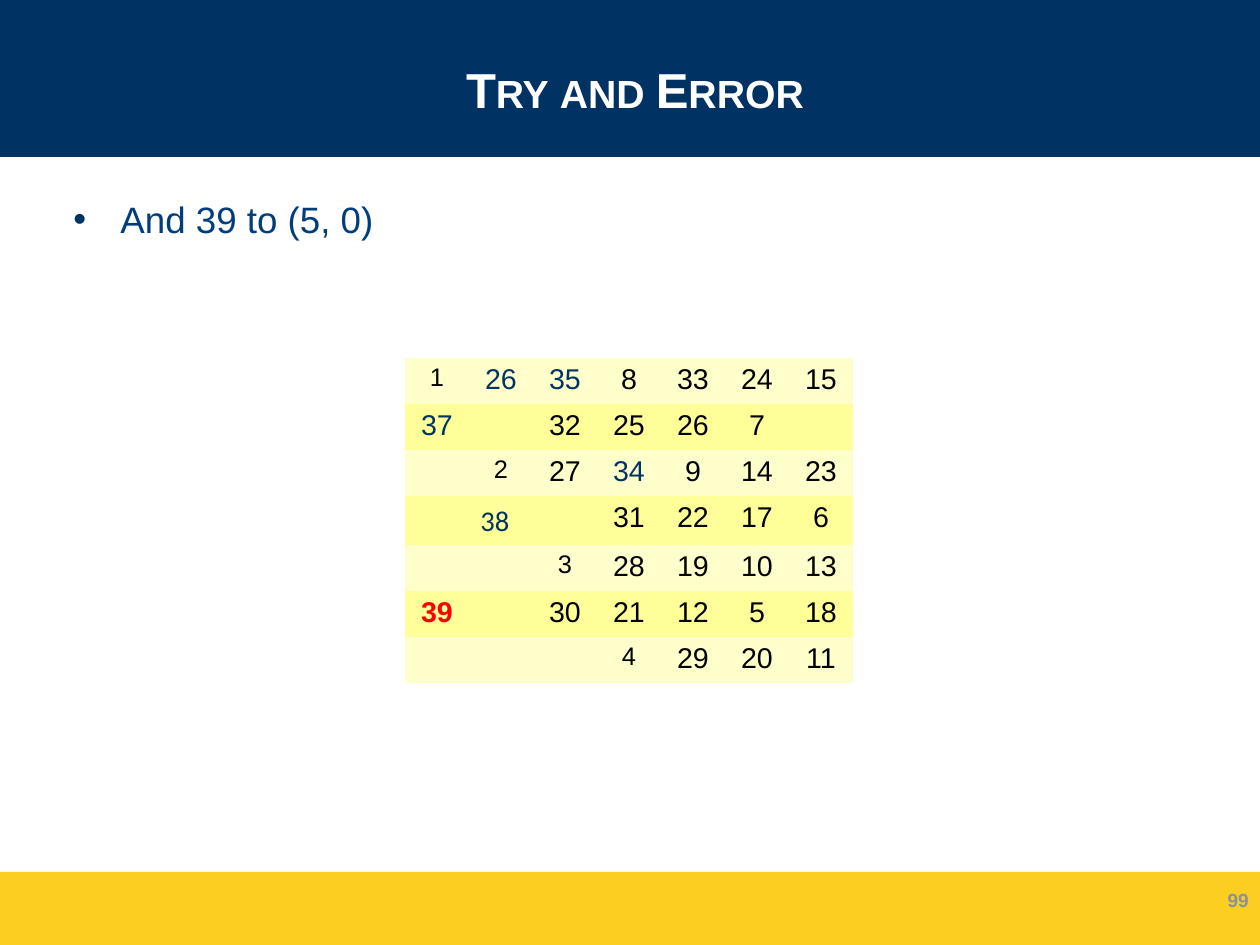
from dataclasses import dataclass

from lxml import etree
from pptx import Presentation
from pptx import util as u
from pptx.dml.color import RGBColor
from pptx.enum import shapes, text
from pptx.oxml import ns

PX = 8000
NAVY = RGBColor(0x00, 0x32, 0x64)
GOLD = RGBColor(0xFB, 0xCE, 0x20)
WHITE = RGBColor(0xFF, 0xFF, 0xFF)
BODY_BLUE = RGBColor(0x00, 0x3D, 0x7C)
PAGE_GREY = RGBColor(0x8C, 0x90, 0xA0)
BLACK = RGBColor(0x00, 0x00, 0x00)
MOVE_BLUE = RGBColor(0x00, 0x33, 0x66)
RED = RGBColor(0xFF, 0x00, 0x00)
ROW_FILLS = (RGBColor(0xFF, 0xFF, 0xCC), RGBColor(0xFF, 0xFF, 0x99))
NO_TABLE_STYLE = "{2D5ABB26-0587-4C30-8999-92F81FD0307C}"


@dataclass(frozen=True)
class Box:
    left: int
    top: int
    width: int
    height: int

    def emu(self) -> tuple[int, ...]:
        return tuple(n * PX for n in (self.left, self.top, self.width, self.height))


@dataclass(frozen=True)
class Band:
    box: Box
    color: RGBColor


@dataclass(frozen=True)
class TextStyle:
    size: float
    color: RGBColor
    bold: bool = False
    name: str = "Arial"
    align: text.PP_ALIGN = text.PP_ALIGN.CENTER
    line_spacing: float | None = 0.93


BANDS = (
    Band(Box(0, 0, 1260, 157), NAVY),
    Band(Box(0, 872, 1260, 73), GOLD),
)
BOARD = (
    ("1", "26", "35", "8", "33", "24", "15"),
    ("37", "", "32", "25", "26", "7", ""),
    ("", "2", "27", "34", "9", "14", "23"),
    ("", "38", "", "31", "22", "17", "6"),
    ("", "", "3", "28", "19", "10", "13"),
    ("39", "", "30", "21", "12", "5", "18"),
    ("", "", "", "4", "29", "20", "11"),
)
ROW_HEIGHTS = (44, 45, 46, 49, 45, 46, 46)
COLUMN_WIDTH = 64
NUMBER = TextStyle(18, BLACK)
START = TextStyle(16, BLACK)
MOVE = TextStyle(18, MOVE_BLUE)
SPECIAL_CELLS = {
    (0, 0): START,
    (2, 1): START,
    (4, 2): START,
    (6, 3): START,
    (0, 1): MOVE,
    (0, 2): MOVE,
    (1, 0): MOVE,
    (2, 3): MOVE,
    (3, 1): TextStyle(18, MOVE_BLUE, False, "Calibri", text.PP_ALIGN.LEFT, None),
    (5, 0): TextStyle(18, RED, True),
}


def place(shape, box: Box) -> None:
    shape.left, shape.top, shape.width, shape.height = box.emu()


def write(frame, words: str, style: TextStyle):
    paragraph = frame.paragraphs[0]
    paragraph.text = words
    paragraph.alignment = style.align
    if style.line_spacing:
        paragraph.line_spacing = style.line_spacing
    font = paragraph.font
    font.name, font.size, font.bold = style.name, u.Pt(style.size), style.bold
    font.color.rgb = style.color
    return paragraph


def add_band(slide, band: Band, depth: int) -> None:
    shape = slide.shapes.add_shape(shapes.MSO_SHAPE.RECTANGLE, *band.box.emu())
    shape.shadow.inherit = False
    shape.fill.solid()
    shape.fill.fore_color.rgb = band.color
    shape.line.fill.background()
    slide.shapes.element.insert(2 + depth, shape.element)


def add_title(slide) -> None:
    title = slide.shapes.title
    place(title, Box(62, 21, 1146, 136))
    frame = title.text_frame
    frame.auto_size = text.MSO_AUTO_SIZE.NONE
    frame.vertical_anchor = text.MSO_ANCHOR.MIDDLE
    style = TextStyle(30.9, WHITE, True, line_spacing=None)
    paragraph = write(frame, "Try and Error", style)
    paragraph.runs[0].font._element.set("cap", "small")


def add_body(slide) -> None:
    body = slide.placeholders[1]
    place(body, Box(62, 187, 1146, 689))
    frame = body.text_frame
    frame.auto_size = text.MSO_AUTO_SIZE.NONE
    frame.margin_top = 10 * PX
    paragraph = frame.paragraphs[0]
    paragraph.space_before = u.Pt(0)
    properties = paragraph._p.get_or_add_pPr()
    properties.set("marL", str(47 * PX))
    properties.set("indent", str(-47 * PX))
    bullet_color = etree.SubElement(properties, ns.qn("a:buClr"))
    etree.SubElement(bullet_color, ns.qn("a:srgbClr"), val=str(NAVY))
    etree.SubElement(properties, ns.qn("a:buChar"), char="•")
    style = TextStyle(23.1, BODY_BLUE, align=text.PP_ALIGN.LEFT, line_spacing=None)
    write(frame, "And 39 to (5, 0)", style)


def add_page_number(slide) -> None:
    box = slide.shapes.add_textbox(*Box(966, 876, 294, 50).emu())
    frame = box.text_frame
    frame.word_wrap = True
    frame.vertical_anchor = text.MSO_ANCHOR.MIDDLE
    write(frame, "99", TextStyle(12, PAGE_GREY, True, align=text.PP_ALIGN.RIGHT))


def add_board(slide) -> None:
    columns = len(BOARD[0])
    box = Box(405, 358, columns * COLUMN_WIDTH, sum(ROW_HEIGHTS))
    frame = slide.shapes.add_table(len(BOARD), columns, *box.emu())
    table = frame.table
    table.first_row = table.horz_banding = False
    table._tbl.tblPr.find(ns.qn("a:tableStyleId")).text = NO_TABLE_STYLE
    for column in table.columns:
        column.width = COLUMN_WIDTH * PX
    for row_index, numbers in enumerate(BOARD):
        table.rows[row_index].height = ROW_HEIGHTS[row_index] * PX
        for column_index, number in enumerate(numbers):
            cell = table.cell(row_index, column_index)
            cell.fill.solid()
            cell.fill.fore_color.rgb = ROW_FILLS[row_index % 2]
            if number:
                cell.margin_top, cell.margin_bottom = 8 * PX, 6 * PX
                style = SPECIAL_CELLS.get((row_index, column_index), NUMBER)
                write(cell.text_frame, number, style)


def main() -> None:
    presentation = Presentation()
    presentation.slide_width, presentation.slide_height = 1260 * PX, 945 * PX
    slide = presentation.slides.add_slide(presentation.slide_layouts[1])
    for depth, band in enumerate(BANDS):
        add_band(slide, band, depth)
    add_title(slide)
    add_body(slide)
    add_page_number(slide)
    add_board(slide)
    presentation.save("out.pptx")


if __name__ == "__main__":
    main()
